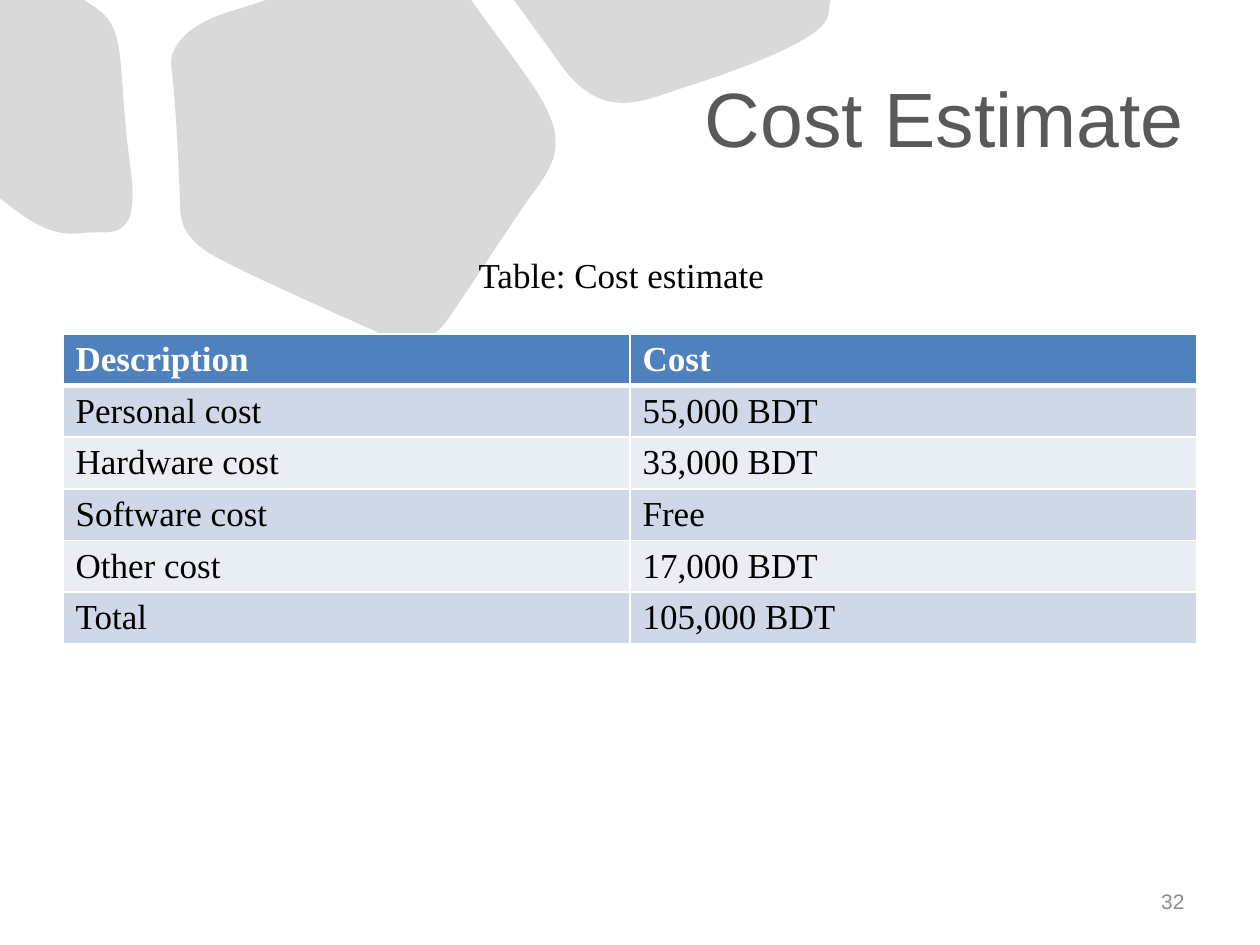
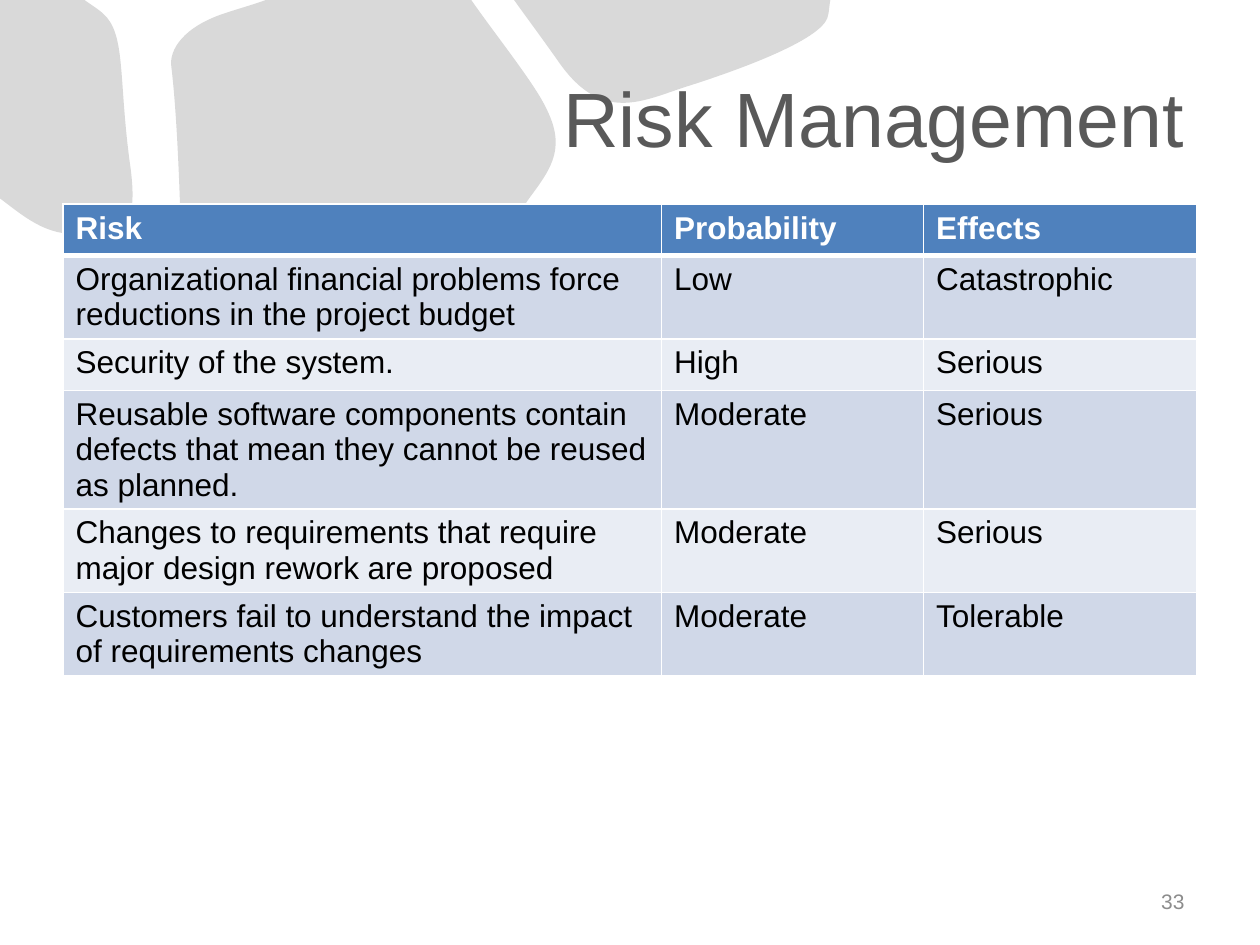
import dataclasses

import pptx
import pptx.dml.color
import pptx.enum.text
import pptx.oxml
import pptx.oxml.ns
import pptx.slide
import pptx.table
import pptx.text.text
import pptx.util
from pptx.util import Inches

RGB = pptx.dml.color.RGBColor
ALIGN = pptx.enum.text.PP_ALIGN
MIDDLE = pptx.enum.text.MSO_ANCHOR.MIDDLE

WHITE = RGB(0xFF, 0xFF, 0xFF)
BLACK = RGB(0, 0, 0)
STONE = RGB(0xD9, 0xD9, 0xD9)
SLATE = RGB(0x59, 0x59, 0x59)
GREY = RGB(0x8C, 0x8C, 0x8C)
BLUE = RGB(0x4F, 0x81, 0xBD)
BANDS = (RGB(0xD0, 0xD8, 0xE8), RGB(0xE9, 0xED, 0xF4))

SANS = "Arial"
SERIF = "Times New Roman"
MARGIN = 0.5
ROW = 0.41

# Outlines in inches: a pair is a line to a point, six numbers are a curve
STONES = (
    ((4.08, 0), (4.18, 0.14, 4.3, 0.3, 4.44, 0.5),
     (4.78, 0.98, 5.1, 0.8, 5.44, 0.69), (5.82, 0.57, 6.53, 0.32, 6.57, 0.13),
     (6.58, 0.1, 6.58, 0.06, 6.59, 0)),
    ((0.82, 0.11), (0.79, 0.08, 0.74, 0.05, 0.67, 0), (-0.02, 0),
     (-0.02, 1.56), (0.17, 1.7, 0.37, 1.89, 0.65, 1.85),
     (0.87, 1.82, 1.13, 1.97, 1.03, 1.29), (0.94, 0.62, 1, 0.27, 0.82, 0.11)),
    ((3.74, 0), (2.11, 0), (2, 0.04, 1.89, 0.07, 1.8, 0.1),
     (1.45, 0.21, 1.34, 0.4, 1.36, 0.53), (1.4, 0.86, 1.42, 1.37, 1.43, 1.66),
     (1.44, 1.91, 1.65, 2.01, 1.85, 2.11), (2.02, 2.2, 2.78, 2.54, 2.96, 2.62),
     (2.96, 2.62, 3.34, 2.85, 3.55, 2.54), (3.77, 2.22, 4.02, 1.83, 4.21, 1.56),
     (4.39, 1.32, 4.49, 1.16, 4.33, 0.85), (4.24, 0.66, 3.92, 0.26, 3.74, 0)),
)


@dataclasses.dataclass
class Style:
    face: str
    size: int
    color: RGB
    bold: bool = False
    align: ALIGN = ALIGN.LEFT


@dataclasses.dataclass
class Page:
    title: str
    number: int
    face: str
    size: int
    top: float
    height: float
    widths: tuple
    rows: tuple
    caption: str = ""


TITLE = Style(SANS, 44, SLATE, align=ALIGN.RIGHT)
NUMBER = Style(SANS, 12, GREY, align=ALIGN.RIGHT)
CAPTION = Style(SERIF, 20, BLACK)

PAGES = (
    Page("Cost Estimate", 32, SERIF, 20, 2.65, 2.6, (4.5, 4.5), (
        ("Description", "Cost"),
        ("Personal cost", "55,000 BDT"),
        ("Hardware cost", "33,000 BDT"),
        ("Software cost", "Free"),
        ("Other cost", "17,000 BDT"),
        ("Total", "105,000 BDT"),
    ), "Table: Cost estimate"),
    Page("Risk Management", 33, SANS, 18, 1.62, 3.91, (4.75, 2.08, 2.17), (
        ("Risk", "Probability", "Effects"),
        ("Organizational financial problems force reductions in the project "
         "budget", "Low", "Catastrophic"),
        ("Security of the system.", "High", "Serious"),
        ("Reusable software components contain defects that mean they cannot "
         "be reused as planned.", "Moderate", "Serious"),
        ("Changes to requirements that require major design rework are "
         "proposed", "Moderate", "Serious"),
        ("Customers fail to understand the impact of requirements changes",
         "Moderate", "Tolerable"),
    )),
)


def write(frame: pptx.text.text.TextFrame, text: str, style: Style) -> None:
    frame.text = text
    para = frame.paragraphs[0]
    para.alignment = style.align
    para.font.name = style.face
    para.font.size = pptx.util.Pt(style.size)
    para.font.bold = style.bold
    para.font.color.rgb = style.color


def bend(shape, parts: tuple) -> None:
    """Join the three lines drawn for each curve into one cubic curve."""
    lines = iter(list(shape.element.iter(pptx.oxml.ns.qn("a:lnTo"))))
    for part in parts:
        group = [next(lines) for _ in range(len(part) // 2)]
        if len(group) == 1:
            continue
        curve = pptx.oxml.parse_xml(
            f'<a:cubicBezTo {pptx.oxml.ns.nsdecls("a")}/>')
        group[0].addprevious(curve)
        for line in group:
            curve.append(line[0])
            line.getparent().remove(line)


def add_stones(slide: pptx.slide.Slide) -> None:
    """Draw the stones and move them to the back of the slide's layout."""
    tree = slide.slide_layout.placeholders[0].element.getparent()
    for spot, (start, *parts) in enumerate(STONES):
        pen = slide.shapes.build_freeform(*map(Inches, start))
        pen.add_line_segments(
            [(Inches(part[i]), Inches(part[i + 1]))
             for part in parts for i in range(0, len(part), 2)], close=True)
        stone = pen.convert_to_shape()
        bend(stone, parts)
        stone.shadow.inherit = False
        stone.fill.solid()
        stone.fill.fore_color.rgb = STONE
        stone.line.fill.background()
        stone.element.nvSpPr.cNvPr.set("id", str(100 + spot))
        tree.insert(2 + spot, stone.element)


def add_label(slide: pptx.slide.Slide, box: tuple, text: str,
              style: Style) -> pptx.text.text.TextFrame:
    frame = slide.shapes.add_textbox(*map(Inches, box)).text_frame
    frame.word_wrap = True
    write(frame, text, style)
    return frame


def set_edges(cell: pptx.table._Cell, row: int) -> None:
    """Give a cell white borders, thick below the header."""
    sides = {"L": 1, "R": 1, "T": 3 if row == 1 else 1, "B": 3 if row == 0 else 1}
    props = cell._tc.get_or_add_tcPr()
    for spot, (side, width) in enumerate(sides.items()):
        props.insert(spot, pptx.oxml.parse_xml(
            f'<a:ln{side} {pptx.oxml.ns.nsdecls("a")} w="{pptx.util.Pt(width)}">'
            f'<a:solidFill><a:srgbClr val="{WHITE}"/></a:solidFill></a:ln{side}>'))


def add_grid(slide: pptx.slide.Slide, page: Page) -> None:
    frame = slide.shapes.add_table(
        len(page.rows), len(page.widths), Inches(MARGIN), Inches(page.top),
        Inches(sum(page.widths)), Inches(page.height))
    grid = frame.table
    for column, width in zip(grid.columns, page.widths):
        column.width = Inches(width)
    for r, texts in enumerate(page.rows):
        head = r == 0
        grid.rows[r].height = Inches(ROW)
        style = Style(page.face, page.size, WHITE if head else BLACK, head)
        for c, text in enumerate(texts):
            cell = grid.cell(r, c)
            cell.fill.solid()
            cell.fill.fore_color.rgb = BLUE if head else BANDS[(r - 1) % 2]
            write(cell.text_frame, text, style)
            set_edges(cell, r)
    frame.height = Inches(page.height)


def add_title(slide: pptx.slide.Slide, text: str) -> None:
    title = slide.shapes.title
    title.left, title.top = Inches(MARGIN), Inches(0.3)
    title.width, title.height = Inches(9), Inches(1.25)
    title.text_frame.vertical_anchor = MIDDLE
    write(title.text_frame, text, TITLE)


def add_page(slide: pptx.slide.Slide, page: Page) -> None:
    add_grid(slide, page)
    add_title(slide, page.title)
    foot = add_label(slide, (7.17, 6.95, 2.33, 0.4), str(page.number), NUMBER)
    foot.vertical_anchor = MIDDLE
    if page.caption:
        add_label(slide, (3.7, 1.96, 2.6, 0.44), page.caption, CAPTION)


def main() -> None:
    deck = pptx.Presentation()
    deck.slide_width, deck.slide_height = Inches(10), Inches(7.5)
    layout = deck.slide_layouts.get_by_name("Title Only")
    slides = [deck.slides.add_slide(layout) for _ in PAGES]
    add_stones(slides[0])
    for slide, page in zip(slides, PAGES):
        add_page(slide, page)
    deck.save("out.pptx")


if __name__ == "__main__":
    main()
